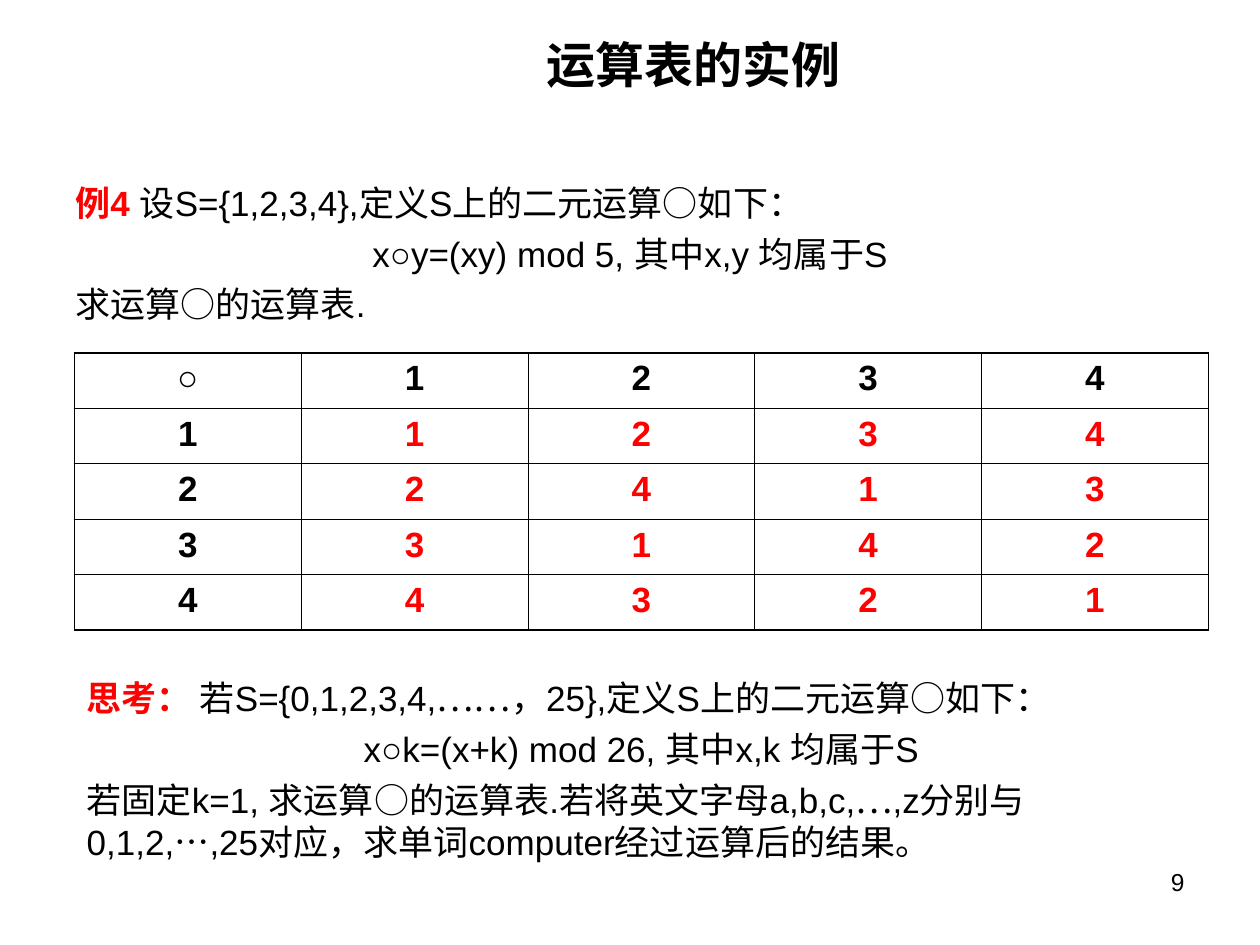
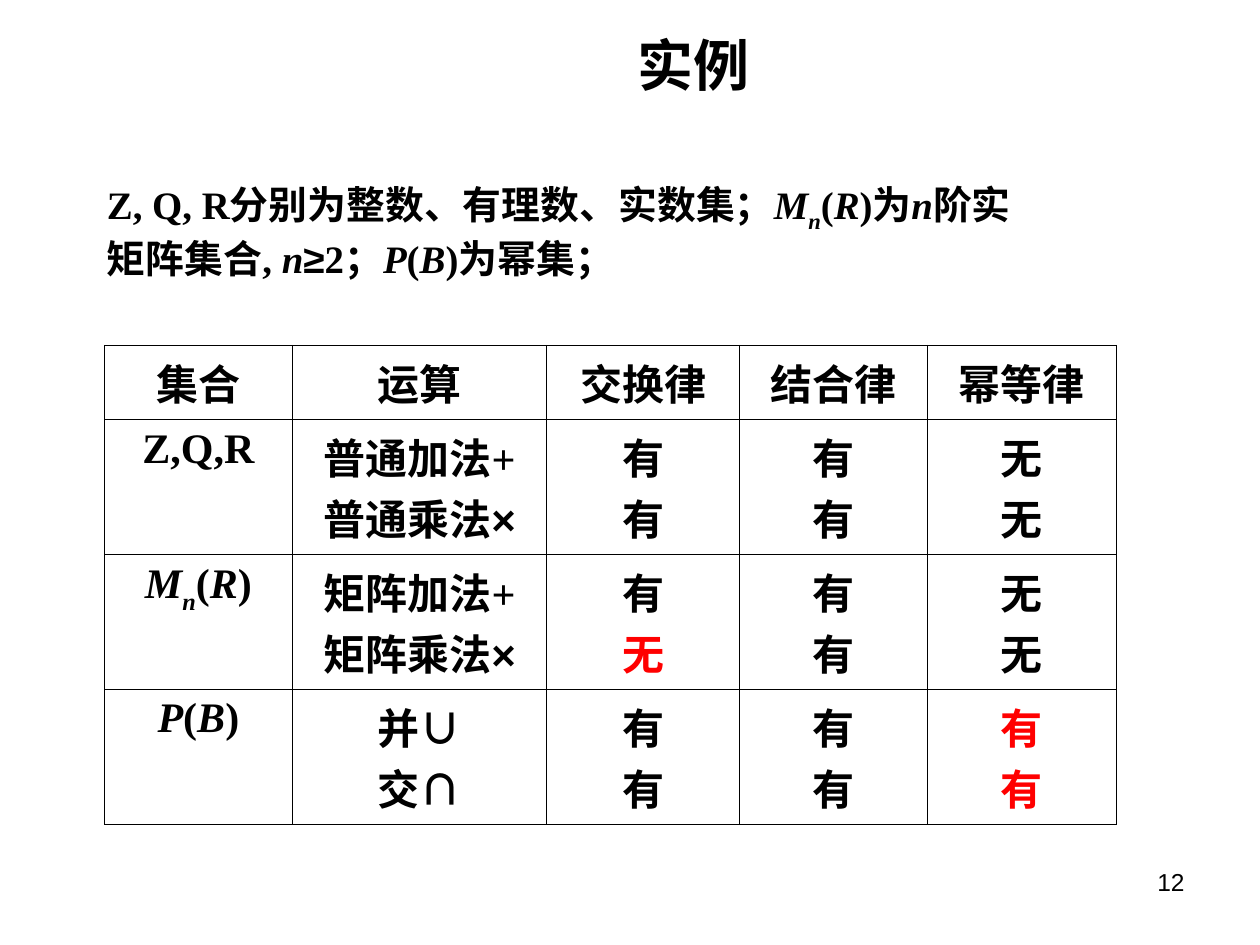
from dataclasses import dataclass

from lxml.etree import SubElement
from pptx import Presentation
from pptx.dml.color import RGBColor
from pptx.enum.text import MSO_ANCHOR, PP_ALIGN
from pptx.oxml.ns import qn
from pptx.util import Inches, Pt


# Theme shared by both slides
@dataclass(frozen=True)
class Theme:
    black: str = "000000"
    red: str = "FF0000"
    sans: str = "Arial"
    serif: str = "Times New Roman"
    chinese: str = "Noto Sans CJK SC"
    number_size: float = 14
    operation_title_size: float = 28
    law_title_size: float = 32
    example_size: float = 20
    sets_size: float = 22.2
    laws_size: float = 24
    thin: float = 0.45
    thick: float = 1.08


THEME = Theme()
LEFT, CENTER, RIGHT = PP_ALIGN.LEFT, PP_ALIGN.CENTER, PP_ALIGN.RIGHT


@dataclass
class Line:
    """One paragraph: a list of strings and spans, with its alignment."""
    spans: list
    align: PP_ALIGN = LEFT


def span(text, **text_format):
    """Pair a text with the format that differs from its box."""
    return text, text_format


def italic(text):
    return span(text, italic=True)


def red(text, **text_format):
    return span(text, color=THEME.red, **text_format)


def sans(text):
    return span(text, font=THEME.sans)


class SlideWriter:
    def __init__(self, deck, theme):
        self.deck, self.theme, self.page = deck, theme, None

    def start_page(self, title, title_size, number):
        self.page = self.deck.slides.add_slide(self.deck.slide_layouts[6])
        self.text((7.17, 6.83, 2.33, 0.52), [Line([number], RIGHT)],
                  size=self.theme.number_size)
        self.text((2.16, 0.28, 6.69, 0.46), [Line([title], CENTER)],
                  anchor=MSO_ANCHOR.MIDDLE, size=title_size, bold=True)

    def add_run(self, para, text, size, font=None, color=None, bold=False,
                italic=False, baseline=0):
        run = para.add_run()
        run.text = text
        run.font.size = Pt(size)
        run.font.name = font or self.theme.sans
        run.font.bold, run.font.italic = bold, italic
        run.font.color.rgb = RGBColor.from_string(color or self.theme.black)
        properties = run.font._element
        if baseline:
            properties.set("baseline", str(baseline * 1000))
        latin = properties.find(qn("a:latin"))
        east_asian = SubElement(properties, qn("a:ea"))
        east_asian.set("typeface", self.theme.chinese)
        latin.addnext(east_asian)

    def fill_frame(self, frame, lines, space_before=0, line_spacing=None,
                   hanging=0, **text_format):
        for index, line in enumerate(lines):
            para = frame.add_paragraph() if index else frame.paragraphs[0]
            para.alignment = line.align
            if index and space_before:
                para.space_before = Pt(space_before)
            if line_spacing:
                para.line_spacing = line_spacing
            if hanging:
                properties = para._p.get_or_add_pPr()
                properties.set("marL", str(Inches(hanging)))
                properties.set("indent", str(-Inches(hanging)))
            for item in line.spans:
                text, changes = span(item) if isinstance(item, str) else item
                self.add_run(para, text, **{**text_format, **changes})

    def text(self, place, lines, anchor=MSO_ANCHOR.TOP, **text_format):
        box = self.page.shapes.add_textbox(*map(Inches, place))
        box.text_frame.word_wrap = True
        box.text_frame.vertical_anchor = anchor
        self.fill_frame(box.text_frame, lines, **text_format)

    def border(self, cell, widths):
        properties = cell._tc.get_or_add_tcPr()
        for side, width in widths.items():
            edge = SubElement(properties, qn(f"a:ln{side}"), w=str(Pt(width)))
            fill = SubElement(edge, qn("a:solidFill"))
            SubElement(fill, qn("a:srgbClr"), val=self.theme.black)

    def table(self, left, top, widths, heights, rows, outer, **text_format):
        """Each cell in rows is a list of paragraphs, each a list of spans."""
        shape = self.page.shapes.add_table(
            len(heights), len(widths), Inches(left), Inches(top),
            Inches(sum(widths)), Inches(sum(heights)))
        grid = shape.table
        grid.first_row = grid.horz_banding = False
        for column, width in zip(grid.columns, widths):
            column.width = Inches(width)
        for row, height in zip(grid.rows, heights):
            row.height = Inches(height)
        last_row, last_column = len(heights) - 1, len(widths) - 1
        for r, row in enumerate(rows):
            for c, paragraphs in enumerate(row):
                cell = grid.cell(r, c)
                on_edge = {"L": c == 0, "R": c == last_column,
                           "T": r == 0, "B": r == last_row}
                self.border(cell, {side: outer if edge else self.theme.thin
                                   for side, edge in on_edge.items()})
                cell.fill.background()
                self.fill_frame(cell.text_frame,
                                [Line(spans, CENTER) for spans in paragraphs],
                                bold=True, **text_format)


def build_operation_table(writer):
    writer.start_page("运算表的实例", THEME.operation_title_size, "9")
    body = {"size": THEME.example_size, "space_before": 5}

    # Example statement
    writer.text((0.5, 1.39, 9, 1.29), [
        Line([red("例4 ", bold=True), "设S={1,2,3,4},定义S上的二元运算○如下："]),
        Line(["x○y=(xy) mod 5, 其中x,y 均属于S"], CENTER),
        Line(["求运算○的运算表."]),
    ], **body)

    # Multiplication modulo 5
    numbers = range(1, 5)
    rows = [[[["○"]]] + [[[str(y)]] for y in numbers]]
    for x in numbers:
        rows.append([[[str(x)]]] + [[[red(str(x * y % 5))]] for y in numbers])
    writer.table(0.59, 2.8, [1.8] * 5, [0.44] * 5, rows, THEME.thick,
                 size=THEME.example_size)

    # Question to think about
    def dots(text):
        return span(text, font=THEME.chinese)

    writer.text((0.59, 5.32, 9, 1.65), [
        Line([red("思考： ", bold=True), "若S={0,1,2,3,4,", dots("……"),
              "，25},定义S上的二元运算○如下："]),
        Line(["x○k=(x+k) mod 26, 其中x,k 均属于S"], CENTER),
        Line(["若固定k=1, 求运算○的运算表.若将英文字母a,b,c,", dots("…"),
              ",z分别与0,1,2,", dots("…"),
              ",25对应，求单词computer经过运算后的结果。"]),
    ], **body)


def build_law_table(writer):
    writer.start_page("实例", THEME.law_title_size, "12")

    def matrices(baseline):
        return [italic("M"), span("n", italic=True, baseline=baseline),
                "(", italic("R")]

    power_set = [italic("P"), "(", italic("B")]

    # Sets in use
    writer.text((0.75, 1.39, 8.19, 1.02), [
        Line(["Z, Q, R分别为整数、有理数、实数集；", *matrices(-25),
              ")为", italic("n"), "阶实"]),
        Line(["矩阵集合, ", italic("n"), sans("≥"), "2；", *power_set,
              ")为幂集；"]),
    ], size=THEME.sets_size, font=THEME.serif, bold=True,
        space_before=6, line_spacing=0.9, hanging=0.38)

    # Laws that hold for each pair of operations
    yes, no = ["有"], ["无"]
    rows = [
        [[[name]] for name in ("集合", "运算", "交换律", "结合律", "幂等律")],
        [[["Z,Q,R"]], [["普通加法+"], ["普通乘法", sans("×")]],
         [yes, yes], [yes, yes], [no, no]],
        [[[*matrices(-30), ")"]], [["矩阵加法+"], ["矩阵乘法", sans("×")]],
         [yes, [red("无")]], [yes, yes], [no, no]],
        [[[*power_set, ")"]], [["并", sans("∪")], ["交", sans("∩")]],
         [yes, yes], [yes, yes], [[red("有")]] * 2],
    ]
    writer.table(0.83, 2.74, [1.49, 2.02, 1.53, 1.49, 1.5],
                 [0.59] + [1.07] * 3, rows, THEME.thin,
                 size=THEME.laws_size, font=THEME.serif)


def main():
    deck = Presentation()
    deck.slide_width, deck.slide_height = Inches(10), Inches(7.5)
    writer = SlideWriter(deck, THEME)
    build_operation_table(writer)
    build_law_table(writer)
    deck.save("out.pptx")


if __name__ == "__main__":
    main()
